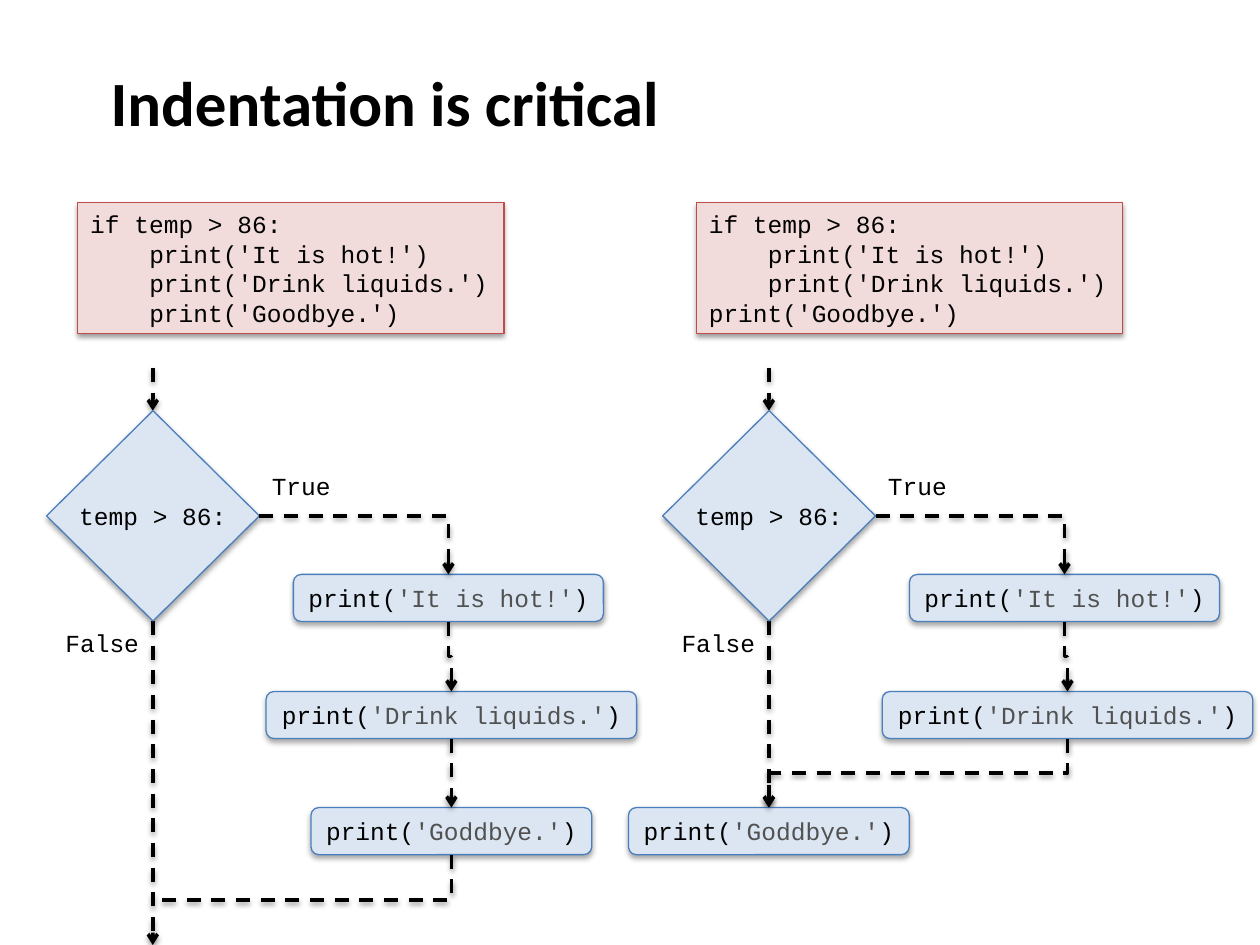
"""Build a slide that compares two indented programs with their flowcharts."""
from lxml.etree import SubElement
from pptx import Presentation
from pptx.dml.color import RGBColor
from pptx.enum.dml import MSO_LINE
from pptx.enum.shapes import MSO_CONNECTOR as Link, MSO_SHAPE as Shape
from pptx.enum.text import MSO_ANCHOR, PP_ALIGN
from pptx.oxml.ns import qn
from pptx.util import Cm, Pt

COLORS = {
    "ink": "000000", "string": "505150",
    "code": "F2DCDB", "code_edge": "BF4C48",
    "step": "DCE6F2", "step_edge": "4B7EBC",
}
CODE_FONT = {"name": "Courier New", "size": Pt(14), "bold": False}
TITLE_FONT = {"name": "Calibri", "size": Pt(36), "bold": True}
INDENT = Cm(1.19)
STEP_HEIGHT = 0.95


class Flowchart:
    def __init__(self, slide):
        self.slide = slide
        self.left = 0

    def color(self, name):
        return RGBColor.from_string(COLORS[name])

    def fill_text(self, shape, lines, font, align=PP_ALIGN.LEFT, wrap=False):
        frame = shape.text_frame
        settings = {"word_wrap": wrap, "vertical_anchor": MSO_ANCHOR.MIDDLE}
        for key, value in settings.items():
            setattr(frame, key, value)
        for index, (level, runs) in enumerate(lines):
            paragraph = frame.add_paragraph() if index else frame.paragraphs[0]
            paragraph.alignment = align
            if level:
                paragraph._p.get_or_add_pPr().set("marL", str(level * INDENT))
            for text, color in runs:
                run = paragraph.add_run()
                run.text = text
                run.font.color.rgb = self.color(color)
                for key, value in font.items():
                    setattr(run.font, key, value)

    def cast_shadow(self, effects, distance, opacity):
        shadow = SubElement(effects, qn("a:outerShdw"), blurRad=str(Pt(3.1)),
                            dist=str(Pt(distance)), dir="5400000", rotWithShape="0")
        color = SubElement(shadow, qn("a:srgbClr"), val=COLORS["ink"])
        SubElement(color, qn("a:alpha"), val=str(opacity * 1000))

    def text(self, x, y, width, height, text, font=CODE_FONT, wrap=False):
        box = self.slide.shapes.add_textbox(
            Cm(self.left + x), Cm(y), Cm(width), Cm(height))
        self.fill_text(box, [(0, [(text, "ink")])], font, wrap=wrap)

    def box(self, kind, x, y, width, height, lines, style="step",
            align=PP_ALIGN.CENTER, distance=1.8, opacity=35):
        shape = self.slide.shapes.add_shape(
            kind, Cm(self.left + x), Cm(y), Cm(width), Cm(height))
        shape.fill.solid()
        shape.fill.fore_color.rgb = self.color(style)
        shape.line.color.rgb = self.color(style + "_edge")
        shape.line.width = Pt(0.75)
        shape.shadow.inherit = False
        effects = shape._element.spPr.find(qn("a:effectLst"))
        self.cast_shadow(effects, distance, opacity)
        self.fill_text(shape, lines, CODE_FONT, align)

    def code(self, x, lines):
        styled = [(level, [(text, "ink")]) for level, text in lines]
        self.box(Shape.RECTANGLE, x, 4.09, 8.59, 2.64, styled, "code",
                 PP_ALIGN.LEFT, 1.6, 38)

    def step(self, center, y, width, message):
        runs = [("print(", "ink"), (f"'{message}'", "string"), (")", "ink")]
        self.box(Shape.FLOWCHART_ALTERNATE_PROCESS, center - width / 2, y,
                 width, STEP_HEIGHT, [(0, runs)])

    def link(self, start, end, bends=0, down_first=True, head=True):
        (x1, y1), (x2, y2) = start, end
        rotation = None
        if bends and down_first:
            middle_x, middle_y = (x1 + x2) / 2, (y1 + y2) / 2
            half_width, half_height = (y2 - y1) / 2, abs(x2 - x1) / 2
            rotation = 90 if x2 < x1 else 270
            side = 1 if x2 < x1 else -1
            x1, x2 = middle_x - side * half_width, middle_x + side * half_width
            y1, y2 = middle_y - half_height, middle_y + half_height
        connector = self.slide.shapes.add_connector(
            Link.ELBOW if bends else Link.STRAIGHT,
            Cm(self.left + x1), Cm(y1), Cm(self.left + x2), Cm(y2))
        properties = connector._element.spPr
        if rotation:
            properties.find(qn("a:xfrm")).set("rot", str(rotation * 60000))
        if bends == 1:
            properties.find(qn("a:prstGeom")).set("prst", "bentConnector2")
        line = connector.line
        line.color.rgb = self.color("ink")
        for key, value in {"width": Pt(2), "dash_style": MSO_LINE.DASH}.items():
            setattr(line, key, value)
        if head:
            SubElement(properties.find(qn("a:ln")), qn("a:tailEnd"), type="arrow")
        self.cast_shadow(SubElement(properties, qn("a:effectLst")), 1.6, 38)

    def branch(self, left, false_end):
        self.left = left
        self.link((AXIS, 7.42), (AXIS, 8.28))
        self.link((AXIS, 12.52), (AXIS, false_end))
        self.text(1.07, 12.52, 2, 0.86, "False")
        self.text(5.23, 9.37, 1.7, 0.86, "True")
        self.box(Shape.FLOWCHART_DECISION, 0.94, 8.28, 4.29, 4.24,
                 [(0, [("temp > 86:", "ink")])])
        self.step(HOT, HOT_TOP, 6.25, "It is hot!")
        self.step(DRINK, DRINK_TOP, 7.47, "Drink liquids.")
        self.link((5.23, 10.4), (HOT, HOT_TOP), bends=1, down_first=False)
        self.link((HOT, HOT_TOP + STEP_HEIGHT), (DRINK, DRINK_TOP), bends=2)


AXIS, HOT, DRINK = 3.08, 9.04, 9.1
HOT_TOP, DRINK_TOP, GOODBYE_TOP = 11.58, 13.94, 16.28
DRINK_EXIT = (DRINK, DRINK_TOP + STEP_HEIGHT)
HEIGHT = 19.05

presentation = Presentation()
presentation.slide_width, presentation.slide_height = Cm(25.4), Cm(HEIGHT)
chart = Flowchart(presentation.slides.add_slide(presentation.slide_layouts[6]))

chart.text(1.98, 0, 21.59, 4.09, "Indentation is critical", TITLE_FONT, True)
for x, last_level in ((1.57, 1), (14.04, 0)):
    chart.code(x, [(0, "if temp > 86:"), (1, "print('It is hot!')"),
                   (1, "print('Drink liquids.')"),
                   (last_level, "print('Goodbye.')")])

chart.branch(0, HEIGHT)
chart.step(DRINK, GOODBYE_TOP, 5.66, "Goddbye.")
chart.link(DRINK_EXIT, (DRINK, GOODBYE_TOP))
chart.link((DRINK, GOODBYE_TOP + STEP_HEIGHT), (AXIS, 18.14), bends=1, head=False)

chart.branch(12.42, GOODBYE_TOP)
chart.step(AXIS, GOODBYE_TOP, 5.66, "Goddbye.")
chart.link(DRINK_EXIT, (AXIS, GOODBYE_TOP), bends=2)

presentation.save("out.pptx")
